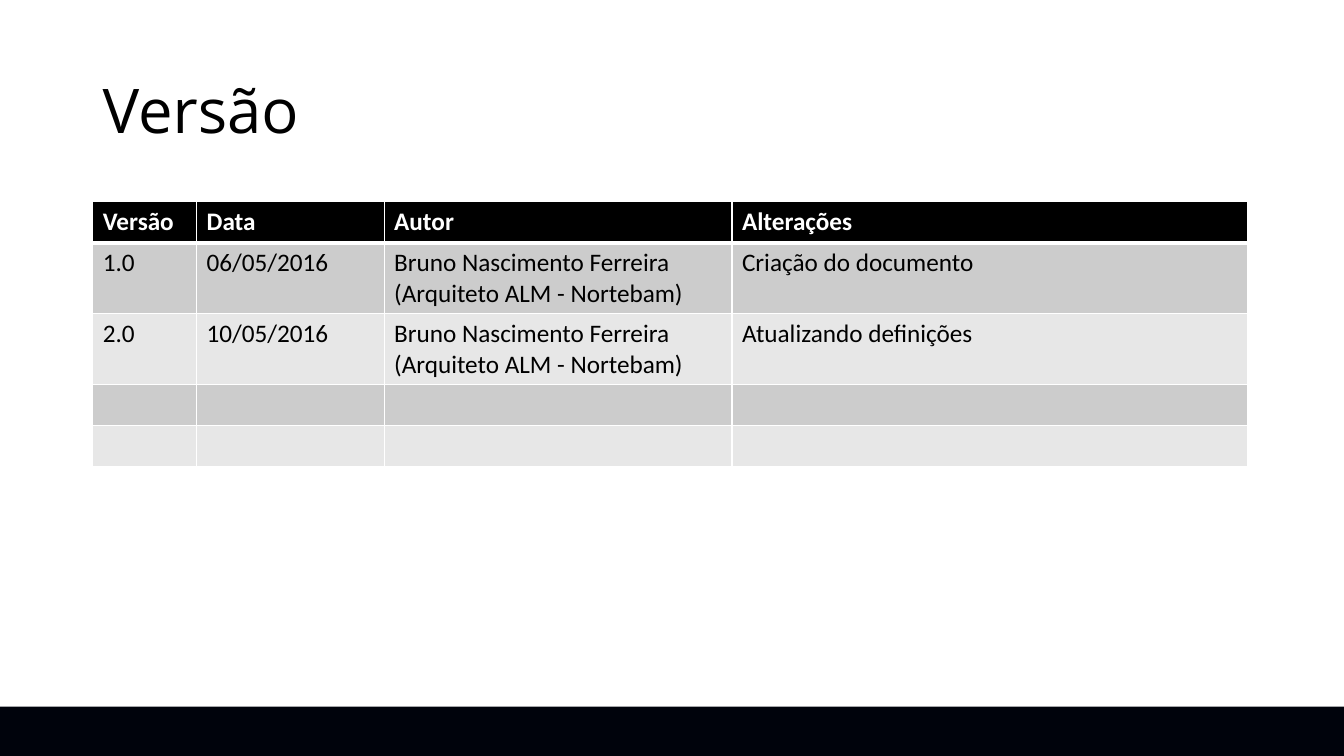
"""Build the document version history slide."""
from dataclasses import dataclass

from lxml import etree
from pptx import Presentation
from pptx import util as u
from pptx.dml.color import RGBColor
from pptx.enum import shapes, text
from pptx.oxml.ns import qn

BLACK = RGBColor(0x00, 0x00, 0x00)
WHITE = RGBColor(0xFF, 0xFF, 0xFF)
NAVY = RGBColor(0x00, 0x03, 0x0C)
DARK_BAND = RGBColor(0xCC, 0xCC, 0xCC)
LIGHT_BAND = RGBColor(0xE7, 0xE7, 0xE7)

SLIDE_WIDTH = u.Inches(13.33)
SLIDE_HEIGHT = u.Inches(7.5)
LEFT_MARGIN = u.Inches(0.92)
ROW_HEIGHT = u.Inches(0.41)
COLUMN_WIDTHS = [u.Inches(width) for width in (1.03, 1.86, 3.45, 5.11)]
FOOTER_HEIGHT = u.Inches(0.48)
FOOTER_TOPS = (u.Inches(7.01), SLIDE_HEIGHT - FOOTER_HEIGHT)
AUTHOR = "Bruno Nascimento Ferreira\n(Arquiteto ALM - Nortebam)"


@dataclass(frozen=True)
class TableRow:
    values: tuple[str, ...]
    fill: RGBColor
    font_color: RGBColor = BLACK
    bold: bool = False
    top_border: float = 1
    bottom_border: float = 1


EMPTY = ("",) * len(COLUMN_WIDTHS)
ROWS = (
    TableRow(("Versão", "Data", "Autor", "Alterações"), BLACK, WHITE, True, bottom_border=3),
    TableRow(("1.0", "06/05/2016", AUTHOR, "Criação do documento"), DARK_BAND, top_border=3),
    TableRow(("2.0", "10/05/2016", AUTHOR, "Atualizando definições"), LIGHT_BAND),
    TableRow(EMPTY, DARK_BAND),
    TableRow(EMPTY, LIGHT_BAND),
)


def add_footer_bar(slide, top: int) -> None:
    bar = slide.shapes.add_shape(
        shapes.MSO_SHAPE.RECTANGLE, 0, top, SLIDE_WIDTH, FOOTER_HEIGHT)
    bar.shadow.inherit = False
    bar.fill.solid()
    bar.fill.fore_color.rgb = NAVY
    bar.line.fill.background()


def add_title(slide) -> None:
    title = slide.shapes.add_textbox(
        LEFT_MARGIN, u.Inches(0.4), u.Inches(11.5), u.Inches(1.45))
    frame = title.text_frame
    frame.word_wrap = True
    frame.vertical_anchor = text.MSO_ANCHOR.MIDDLE
    paragraph = frame.paragraphs[0]
    paragraph.text = "Versão"
    paragraph.line_spacing = 0.9
    paragraph.font.name = "Open Sans"
    paragraph.font.size = u.Pt(44)
    paragraph.font.color.rgb = BLACK


def set_borders(cell, row: TableRow) -> None:
    properties = cell._tc.get_or_add_tcPr()
    widths = {"L": 1, "R": 1, "T": row.top_border, "B": row.bottom_border}
    for index, (side, width) in enumerate(widths.items()):
        line = etree.Element(qn(f"a:ln{side}"), w=str(u.Pt(width)))
        fill = etree.SubElement(line, qn("a:solidFill"))
        etree.SubElement(fill, qn("a:srgbClr"), val=str(WHITE))
        properties.insert(index, line)


def fill_cell(cell, value: str, row: TableRow) -> None:
    cell.fill.solid()
    cell.fill.fore_color.rgb = row.fill
    set_borders(cell, row)
    cell.text = value
    for paragraph in cell.text_frame.paragraphs:
        paragraph.font.name = "Calibri"
        paragraph.font.size = u.Pt(18)
        paragraph.font.bold = row.bold
        paragraph.font.color.rgb = row.font_color


def add_version_table(slide) -> None:
    table = slide.shapes.add_table(
        len(ROWS), len(COLUMN_WIDTHS), LEFT_MARGIN, u.Inches(2),
        sum(COLUMN_WIDTHS), ROW_HEIGHT * len(ROWS)).table
    for column, width in zip(table.columns, COLUMN_WIDTHS):
        column.width = width
    for table_row, row in zip(table.rows, ROWS):
        table_row.height = ROW_HEIGHT
        for cell, value in zip(table_row.cells, row.values):
            fill_cell(cell, value, row)


def main() -> None:
    presentation = Presentation()
    presentation.slide_width = SLIDE_WIDTH
    presentation.slide_height = SLIDE_HEIGHT
    slide = presentation.slides.add_slide(presentation.slide_layouts[6])
    for top in FOOTER_TOPS:
        add_footer_bar(slide, top)
    add_title(slide)
    add_version_table(slide)
    presentation.save("out.pptx")


if __name__ == "__main__":
    main()
